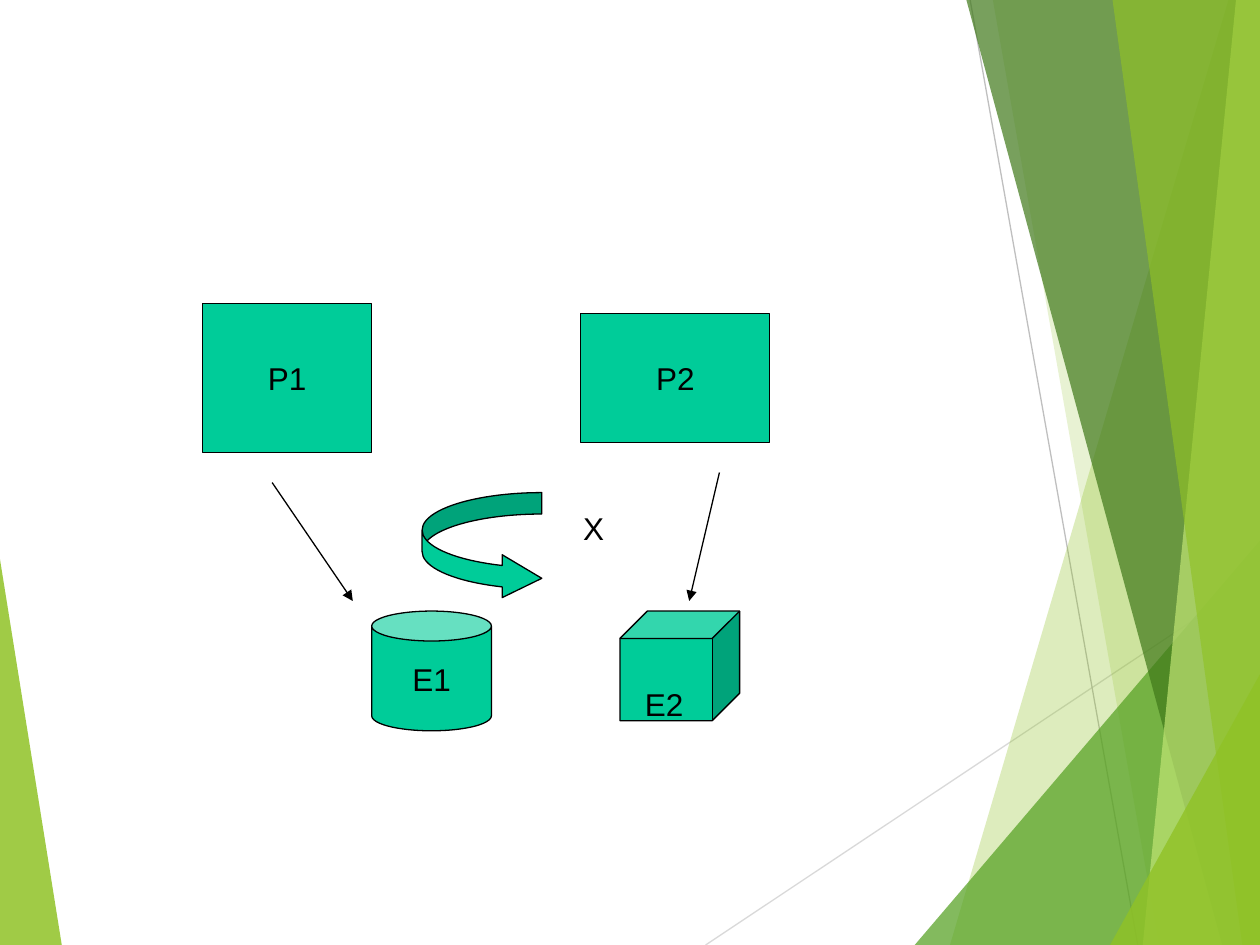
from lxml import etree
from pptx import Presentation
from pptx.dml.color import RGBColor
from pptx.enum.shapes import MSO_CONNECTOR, MSO_SHAPE
from pptx.enum.text import MSO_ANCHOR, PP_ALIGN
from pptx.oxml.ns import qn
from pptx.util import Inches, Pt

RECT, CAN, CUBE = MSO_SHAPE.RECTANGLE, MSO_SHAPE.CAN, MSO_SHAPE.CUBE
CURVE = MSO_SHAPE.CURVED_RIGHT_ARROW
STRAIGHT = MSO_CONNECTOR.STRAIGHT
MIDDLE, TOP = MSO_ANCHOR.MIDDLE, MSO_ANCHOR.TOP
CENTER, LEFT = PP_ALIGN.CENTER, PP_ALIGN.LEFT

LIME = RGBColor(0x90, 0xC2, 0x26)
GREEN = RGBColor(0x54, 0xA0, 0x21)
DARK = RGBColor(0x3F, 0x78, 0x19)
PALE = RGBColor(0xC0, 0xE4, 0x74)
TEAL = RGBColor(0x00, 0xCC, 0x99)
BLACK = RGBColor(0, 0, 0)
GREY = RGBColor(0xBF, 0xBF, 0xBF)
SILVER = RGBColor(0xD9, 0xD9, 0xD9)

WIDE, HIGH = 10, 7.5
THIN = Pt(0.75)
FONT = {"name": "Arial", "size": Pt(18)}


def add_facet(slide, box, points, color, alpha):
    """Draw a see-through polygon; points are inches from the box corner."""
    spots = [(Inches(box[0] + x), Inches(box[1] + y)) for x, y in points]
    pen = slide.shapes.build_freeform(*spots[0], scale=1.0)
    pen.add_line_segments(spots[1:], close=True)
    facet = pen.convert_to_shape()
    facet.shadow.inherit = False
    facet.line.fill.background()
    facet.fill.solid()
    facet.fill.fore_color.rgb = color
    tint = facet.fill._xPr.find(qn("a:solidFill"))[0]
    etree.SubElement(tint, qn("a:alpha"), val=str(alpha * 1000))


def add_line(slide, box, start, end, color, arrow=False):
    left, top = box[:2]
    line = slide.shapes.add_connector(
        STRAIGHT, Inches(left + start[0]), Inches(top + start[1]),
        Inches(left + end[0]), Inches(top + end[1]))
    line.line.color.rgb = color
    line.line.width = THIN
    if arrow:
        etree.SubElement(line.line._get_or_add_ln(), qn("a:tailEnd"), type="triangle")
    etree.SubElement(line._element.spPr, qn("a:effectLst"))


def write(shape, text, align, anchor, wrap):
    frame = shape.text_frame
    frame.word_wrap, frame.vertical_anchor = wrap, anchor
    para = frame.paragraphs[0]
    para.text, para.alignment = text, align
    for key, value in FONT.items():
        setattr(para.font, key, value)
    para.font.color.rgb = BLACK


def add_node(slide, box, kind, place, text=""):
    x, y, w, h = place
    node = slide.shapes.add_shape(
        kind, Inches(box[0] + x), Inches(box[1] + y), Inches(w), Inches(h))
    node.shadow.inherit = False
    node.fill.solid()
    node.fill.fore_color.rgb = TEAL
    node.line.color.rgb = BLACK
    node.line.width = THIN
    if text:
        write(node, text, CENTER, MIDDLE, False)
    return node


def add_label(slide, box, place, text):
    x, y, w, h = place
    label = slide.shapes.add_textbox(
        Inches(box[0] + x), Inches(box[1] + y), Inches(w), Inches(h))
    write(label, text, LEFT, TOP, True)


def draw_wedge(slide, box):
    w, h = box[2:]
    add_facet(slide, box, [(0, 0), (w, h), (0, h)], LIME, 85)


def draw_panel(slide, box):
    w, h = box[2:]
    add_line(slide, box, (0, h), (w, 4.57), SILVER)
    add_line(slide, box, (2.1, 0), (3.43, h), GREY)
    # Each facet runs from its slanted left edge to the right side of the panel
    edges = [
        ((4.15, 0), (1.94, h), LIME, 30),
        ((2.28, 0), (3.6, h), LIME, 20),
        ((w, 4.29), (1.66, h), GREEN, 72),
        ((2.07, 0), (4.1, h), DARK, 70),
        ((4.21, 0), (3.47, h), PALE, 70),
        ((3.23, 0), (4.26, h), LIME, 65),
        ((w, 5.35), (3.21, h), LIME, 80),
    ]
    for upper, lower, color, alpha in edges:
        points = [upper, lower, (w, h)]
        if upper[0] < w:
            points.append((w, upper[1]))
        add_facet(slide, box, points, color, alpha)


def draw_scheme(slide, box):
    # Processes and their elements
    add_node(slide, box, RECT, (0, 0, 1.34, 1.18), "P1")
    add_node(slide, box, RECT, (3, 0.08, 1.5, 1.02), "P2")
    add_node(slide, box, CAN, (1.34, 2.44, 0.95, 0.95), "E1")
    add_node(slide, box, CUBE, (3.31, 2.44, 0.95, 0.87))
    add_label(slide, box, (3.41, 2.98, 0.69, 0.4), "E2")
    # Curved arrow: band width, head width, head length
    curve = add_node(slide, box, CURVE, (1.74, 1.5, 0.95, 0.85))
    for i, value in enumerate((0.2, 0.4, 0.37)):
        curve.adjustments[i] = value
    # Links down to the elements
    add_line(slide, box, (0.55, 1.42), (1.19, 2.36), BLACK, True)
    add_line(slide, box, (4.1, 1.34), (3.86, 2.36), BLACK, True)
    add_label(slide, box, (2.92, 1.58, 0.71, 0.4), "X")


def main():
    deck = Presentation()
    deck.slide_width, deck.slide_height = Inches(WIDE), Inches(HIGH)
    slide = deck.slides.add_slide(deck.slide_layouts[6])
    draw_wedge(slide, (0, 4.44, 0.49, 3.06))
    draw_panel(slide, (5.6, 0, 4.4, HIGH))
    draw_scheme(slide, (1.61, 2.41, 4.5, 3.39))
    deck.save("out.pptx")


if __name__ == "__main__":
    main()
